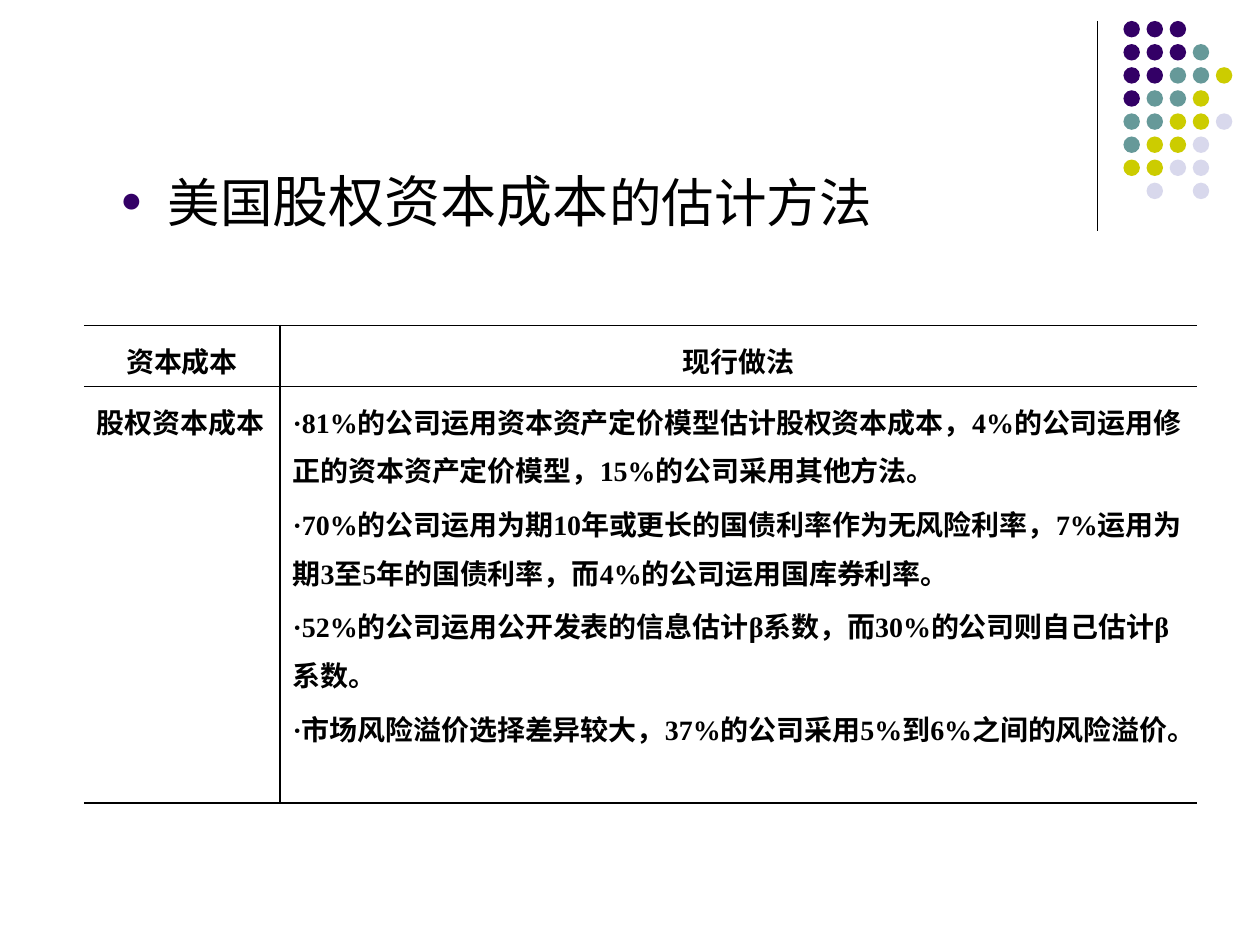
from lxml.etree import SubElement
from pptx import Presentation
from pptx.dml.color import RGBColor
from pptx.enum.shapes import MSO_CONNECTOR, MSO_SHAPE
from pptx.enum.text import PP_ALIGN
from pptx.oxml.ns import qn
from pptx.util import Pt

BLACK = "000000"
DOT_COLORS = {"P": "330066", "T": "669999", "Y": "CCCC00", "L": "D8D8EC"}
DOT_ROWS = ["PPP", "PPPT", "PPTTY", "PTTY", "TTYYL", "TYYL", "YYLL", " L L"]
HEADERS = ["资本成本", "现行做法"]
COLUMN_WIDTHS = (112, 524)
ROW_HEIGHTS = (35, 238)
PRACTICES = [
    "·81%的公司运用资本资产定价模型估计股权资本成本，4%的公司运用修正的资本资产定价模型，15%的公司采用其他方法。",
    "·70%的公司运用为期10年或更长的国债利率作为无风险利率，7%运用为期3至5年的国债利率，而4%的公司运用国库券利率。",
    "·52%的公司运用公开发表的信息估计β系数，而30%的公司则自己估计β系数。",
    "·市场风险溢价选择差异较大，37%的公司采用5%到6%之间的风险溢价。",
]


def color(value):
    """Turn a hex string into a colour."""
    return RGBColor.from_string(value)


def add_span(para, text, size=16, font="Times New Roman", bold=False, fill=BLACK):
    """Add formatted text to a paragraph."""
    span = para.add_run()
    span.text = text
    span.font.size = Pt(size)
    span.font.name = font
    span.font.bold = bold
    span.font.color.rgb = color(fill)


def add_divider(page):
    """Draw the vertical rule beside the dots."""
    line = page.shapes.add_connector(
        MSO_CONNECTOR.STRAIGHT, Pt(627), Pt(12), Pt(627), Pt(132))
    line.line.color.rgb = color(BLACK)
    line.line.width = Pt(0.75)
    SubElement(line._element.spPr, qn("a:effectLst"))


def add_dots(page, left=642, top=12, pitch=13.2, size=9.4):
    """Draw the grouped grid of coloured dots."""
    group = page.shapes.add_group_shape()
    for row, keys in enumerate(DOT_ROWS):
        for column, key in enumerate(keys):
            if key in DOT_COLORS:
                dot = group.shapes.add_shape(
                    MSO_SHAPE.OVAL, Pt(left + column * pitch),
                    Pt(top + row * pitch), Pt(size), Pt(size))
                dot.shadow.inherit = False
                dot.fill.solid()
                dot.fill.fore_color.rgb = color(DOT_COLORS[key])
                dot.line.fill.background()


def set_bullet(para, char, fill, percent, indent):
    """Give a paragraph a coloured bullet and a hanging indent."""
    properties = para._p.get_or_add_pPr()
    properties.set("marL", str(Pt(indent)))
    properties.set("indent", str(-Pt(indent)))
    bullet_color = SubElement(properties, qn("a:buClr"))
    SubElement(bullet_color, qn("a:srgbClr"), val=fill)
    SubElement(properties, qn("a:buSzPct"), val=str(percent * 1000))
    SubElement(properties, qn("a:buFont"), typeface="Arial")
    SubElement(properties, qn("a:buChar"), char=char)


def add_heading(page):
    """Add the bulleted heading."""
    box = page.shapes.add_textbox(Pt(61.7), Pt(91.5), Pt(604), Pt(58.5))
    box.text_frame.word_wrap = True
    para = box.text_frame.paragraphs[0]
    para.space_before = Pt(6.4)
    set_bullet(para, "●", "330066", 70, 27)
    add_span(para, "美国", size=30, font="Arial")
    add_span(para, "股权资本成本", size=32)
    add_span(para, "的估计方法", size=30, font="Arial")


def set_borders(cell, sides):
    """Draw one-point lines on the given sides and clear the others."""
    properties = cell._tc.get_or_add_tcPr()
    for side in "LRTB":
        line = SubElement(properties, qn(f"a:ln{side}"), w=str(Pt(1)))
        if side in sides:
            fill = SubElement(line, qn("a:solidFill"))
            SubElement(fill, qn("a:srgbClr"), val=BLACK)
        else:
            SubElement(line, qn("a:noFill"))


def fill_cell(cell, texts, sides, align):
    """Write paragraphs into a cell and set its borders."""
    set_borders(cell, sides)
    cell.fill.background()
    frame = cell.text_frame
    for index, text in enumerate(texts):
        para = frame.add_paragraph() if index else frame.paragraphs[0]
        para.alignment = align
        para.line_spacing = 1.2
        para.space_before = para.space_after = Pt(1.6)
        add_span(para, text, bold=True)


def add_practice_table(page):
    """Add the table of current practice."""
    table = page.shapes.add_table(
        2, 2, Pt(48), Pt(186), Pt(sum(COLUMN_WIDTHS)), Pt(sum(ROW_HEIGHTS))).table
    table.first_row = table.horz_banding = False
    for column, width in zip(table.columns, COLUMN_WIDTHS):
        column.width = Pt(width)
    for row, height in zip(table.rows, ROW_HEIGHTS):
        row.height = Pt(height)
    rows = [[[text] for text in HEADERS], [["股权资本成本"], PRACTICES]]
    for row, align in enumerate((PP_ALIGN.CENTER, PP_ALIGN.LEFT)):
        for column, sides in enumerate(("RTB", "LTB")):
            fill_cell(table.cell(row, column), rows[row][column], sides, align)


def main():
    """Build and save the slide."""
    deck = Presentation()
    deck.slide_width, deck.slide_height = Pt(720), Pt(540)
    page = deck.slides.add_slide(deck.slide_layouts[6])
    add_divider(page)
    add_dots(page)
    add_heading(page)
    add_practice_table(page)
    deck.save("out.pptx")


if __name__ == "__main__":
    main()
